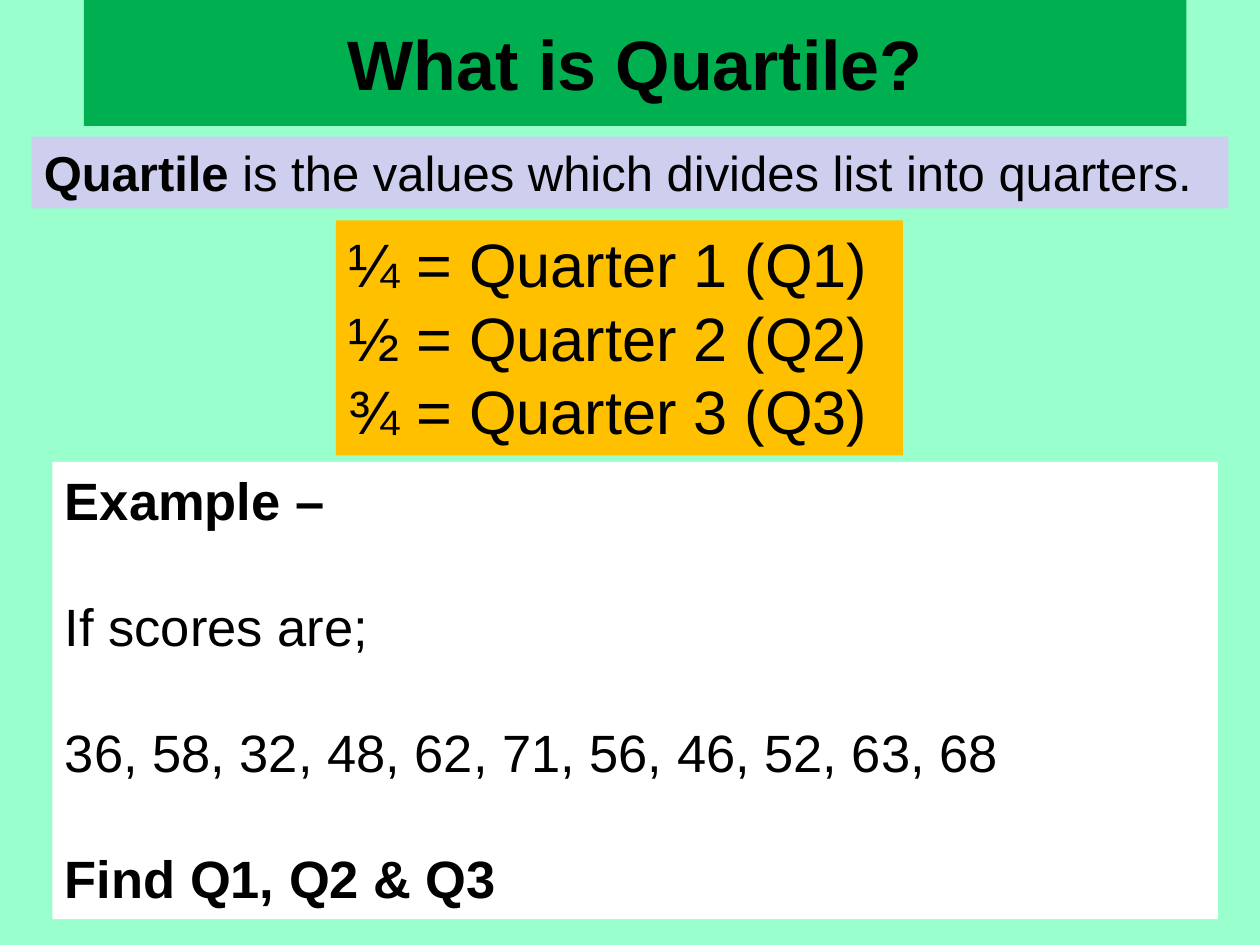
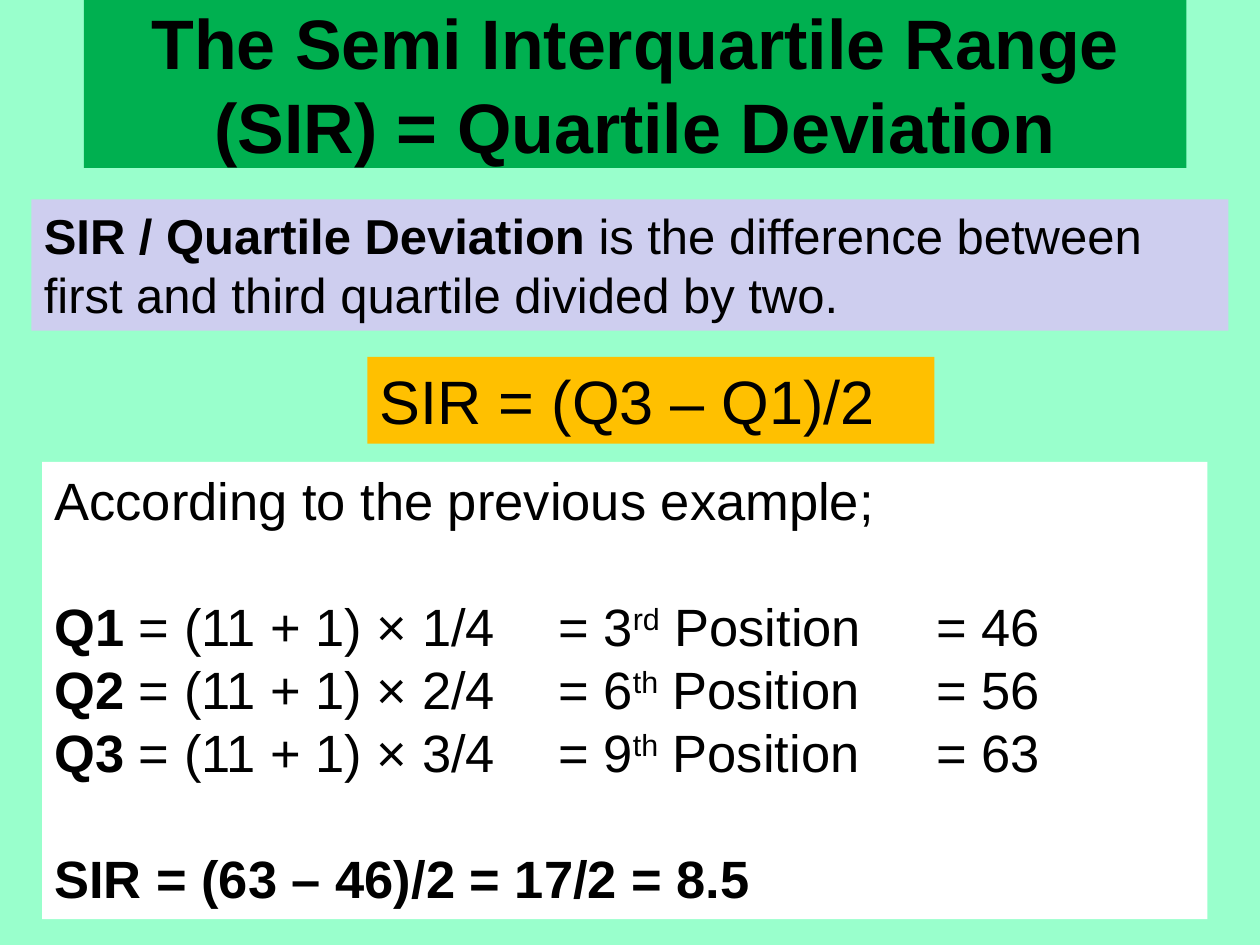
"""Build two slides that explain quartiles and the semi interquartile range."""
from dataclasses import dataclass
from typing import NamedTuple

from lxml.etree import SubElement
from pptx import Presentation
from pptx.dml.color import RGBColor
from pptx.enum.text import MSO_ANCHOR, MSO_AUTO_SIZE, PP_ALIGN
from pptx.oxml.ns import qn
from pptx.util import Inches, Length, Pt


@dataclass(frozen=True)
class Theme:
    font: str = "Arial"
    text: str = "000000"
    background: str = "99FFCC"
    title_fill: str = "00B050"
    definition_fill: str = "CECEEF"
    formula_fill: str = "FFC000"
    example_fill: str = "FFFFFF"
    title_size: int = 40
    definition_size: int = 28
    formula_size: int = 35
    example_size: int = 30
    line_pitch: float = 1.2
    box_line: float = 1.21


class Piece(NamedTuple):
    text: str
    bold: bool = False
    superscript: bool = False


class Line(NamedTuple):
    pieces: list[Piece]
    gap_lines: int = 0
    tab_columns: tuple[int, ...] = ()


class Box(NamedTuple):
    column: int
    row: int
    columns: int
    line_count: int
    fill: str
    size: int
    lines: list[Line]


class Page(NamedTuple):
    title: str
    title_rows: int
    boxes: list[Box]


THEME = Theme()
SLIDE_WIDTH, SLIDE_HEIGHT = Inches(10), Inches(7.5)
GRID_COLUMNS, GRID_ROWS = 120, 90
TITLE_COLUMN, TITLE_COLUMNS = 8, 105
TITLE_ONLY_LAYOUT = 5
VERTICAL_INSET = Inches(0.05)


def across(columns: int) -> Length:
    return Length(SLIDE_WIDTH * columns // GRID_COLUMNS)


def down(rows: int) -> Length:
    return Length(SLIDE_HEIGHT * rows // GRID_ROWS)


def plain(text: str, gap_lines: int = 0) -> Line:
    return Line([Piece(text)], gap_lines)


def strong(text: str, gap_lines: int = 0) -> Line:
    return Line([Piece(text, bold=True)], gap_lines)


def definition(row: int, line_count: int, term: str, meaning: str) -> Box:
    line = Line([Piece(term, bold=True), Piece(meaning)])
    return Box(3, row, 114, line_count, THEME.definition_fill, THEME.definition_size, [line])


def formula(column: int, row: int, texts: list[str]) -> Box:
    lines = [plain(text) for text in texts]
    return Box(column, row, 54, len(lines), THEME.formula_fill, THEME.formula_size, lines)


def example(column: int, lines: list[Line]) -> Box:
    line_count = sum(1 + line.gap_lines for line in lines)
    return Box(column, 44, 111, line_count, THEME.example_fill, THEME.example_size, lines)


def quartile_step(number: int, position: int, suffix: str, score: int) -> Line:
    pieces = [
        Piece(f"Q{number}", bold=True),
        Piece(f" = (11 + 1) × {number}/4\t= {position}"),
        Piece(suffix, superscript=True),
        Piece(f" Position\t= {score}"),
    ]
    return Line(pieces, gap_lines=1 if number == 1 else 0, tab_columns=(48, 84))


def add_tabs(paragraph, tab_columns: tuple[int, ...]) -> None:
    if tab_columns:
        tab_list = SubElement(paragraph._p.get_or_add_pPr(), qn("a:tabLst"))
        for column in tab_columns:
            SubElement(tab_list, qn("a:tab"), pos=str(across(column)), algn="l")


def write_line(paragraph, line: Line, size: int) -> None:
    add_tabs(paragraph, line.tab_columns)
    pitch = size * THEME.line_pitch
    paragraph.line_spacing = Pt(pitch)
    paragraph.space_before = Pt(pitch * line.gap_lines)
    font = paragraph.font
    font.name, font.size = THEME.font, Pt(size)
    font.color.rgb = RGBColor.from_string(THEME.text)
    mixed = len({piece.bold for piece in line.pieces}) > 1
    if not mixed:
        font.bold = line.pieces[0].bold
    for piece in line.pieces:
        run = paragraph.add_run()
        run.text = piece.text
        if mixed:
            run.font.bold = piece.bold
        if piece.superscript:
            run._r.get_or_add_rPr().set("baseline", "30000")


def fill_shape(shape, colour: str) -> None:
    shape.fill.solid()
    shape.fill.fore_color.rgb = RGBColor.from_string(colour)
    shape.text_frame.word_wrap = True
    shape.text_frame.auto_size = MSO_AUTO_SIZE.NONE


def add_title(slide, page: Page) -> None:
    shape = slide.shapes.title
    shape.left, shape.top = across(TITLE_COLUMN), down(0)
    shape.width, shape.height = across(TITLE_COLUMNS), down(page.title_rows)
    fill_shape(shape, THEME.title_fill)
    frame = shape.text_frame
    frame.vertical_anchor = MSO_ANCHOR.MIDDLE
    frame.margin_top = frame.margin_bottom = 0
    paragraph = frame.paragraphs[0]
    paragraph.alignment = PP_ALIGN.CENTER
    write_line(paragraph, strong(page.title), THEME.title_size)


def add_box(slide, box: Box) -> None:
    height = Pt(box.line_count * box.size * THEME.box_line) + 2 * VERTICAL_INSET
    shape = slide.shapes.add_textbox(
        across(box.column), down(box.row), across(box.columns), height
    )
    fill_shape(shape, box.fill)
    frame = shape.text_frame
    for index, line in enumerate(box.lines):
        paragraph = frame.add_paragraph() if index else frame.paragraphs[0]
        write_line(paragraph, line, box.size)


PAGES = [
    Page("What is Quartile?", 12, [
        definition(13, 1, "Quartile ", "is the values which divides list into quarters."),
        formula(32, 21, [
            f"{fraction} = Quarter {number} (Q{number})"
            for number, fraction in enumerate("¼½¾", start=1)
        ]),
        example(5, [
            strong("Example –"),
            plain("If scores are;", gap_lines=1),
            plain("36, 58, 32, 48, 62, 71, 56, 46, 52, 63, 68", gap_lines=1),
            strong("Find Q1, Q2 & Q3", gap_lines=1),
        ]),
    ]),
    Page("The Semi Interquartile Range (SIR) = Quartile Deviation", 16, [
        definition(
            19, 2, "SIR / Quartile Deviation ",
            "is the difference between first and third quartile divided by two.",
        ),
        formula(35, 34, ["SIR = (Q3 – Q1)/2"]),
        example(4, [
            plain("According to the previous example;"),
            quartile_step(1, 3, "rd", 46),
            quartile_step(2, 6, "th", 56),
            quartile_step(3, 9, "th", 63),
            strong("SIR = (63 – 46)/2 = 17/2 = 8.5", gap_lines=1),
        ]),
    ]),
]


def main() -> None:
    presentation = Presentation()
    presentation.slide_width, presentation.slide_height = SLIDE_WIDTH, SLIDE_HEIGHT
    background = presentation.slide_master.background.fill
    background.solid()
    background.fore_color.rgb = RGBColor.from_string(THEME.background)
    for page in PAGES:
        slide = presentation.slides.add_slide(presentation.slide_layouts[TITLE_ONLY_LAYOUT])
        add_title(slide, page)
        for box in page.boxes:
            add_box(slide, box)
    presentation.save("out.pptx")


if __name__ == "__main__":
    main()
